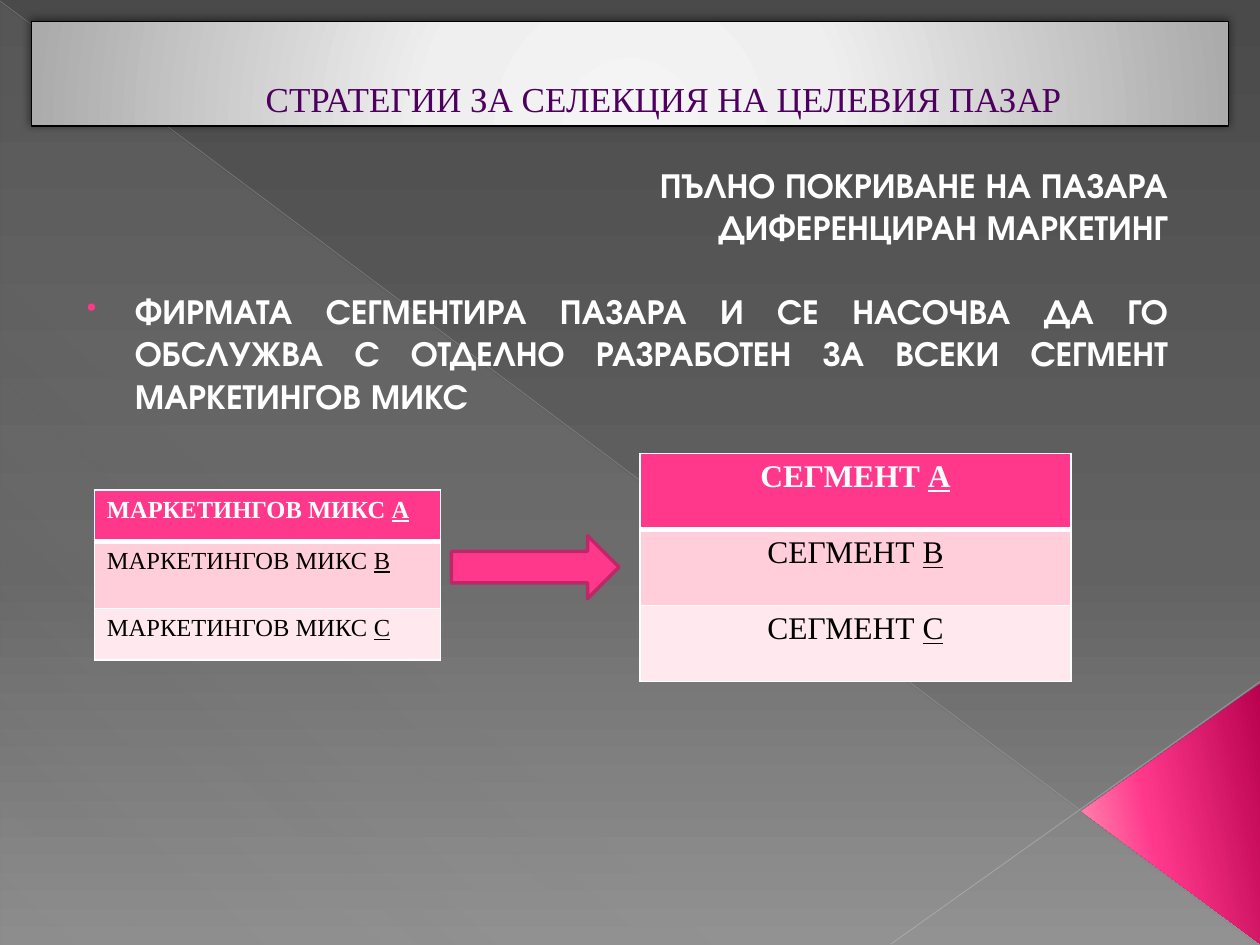
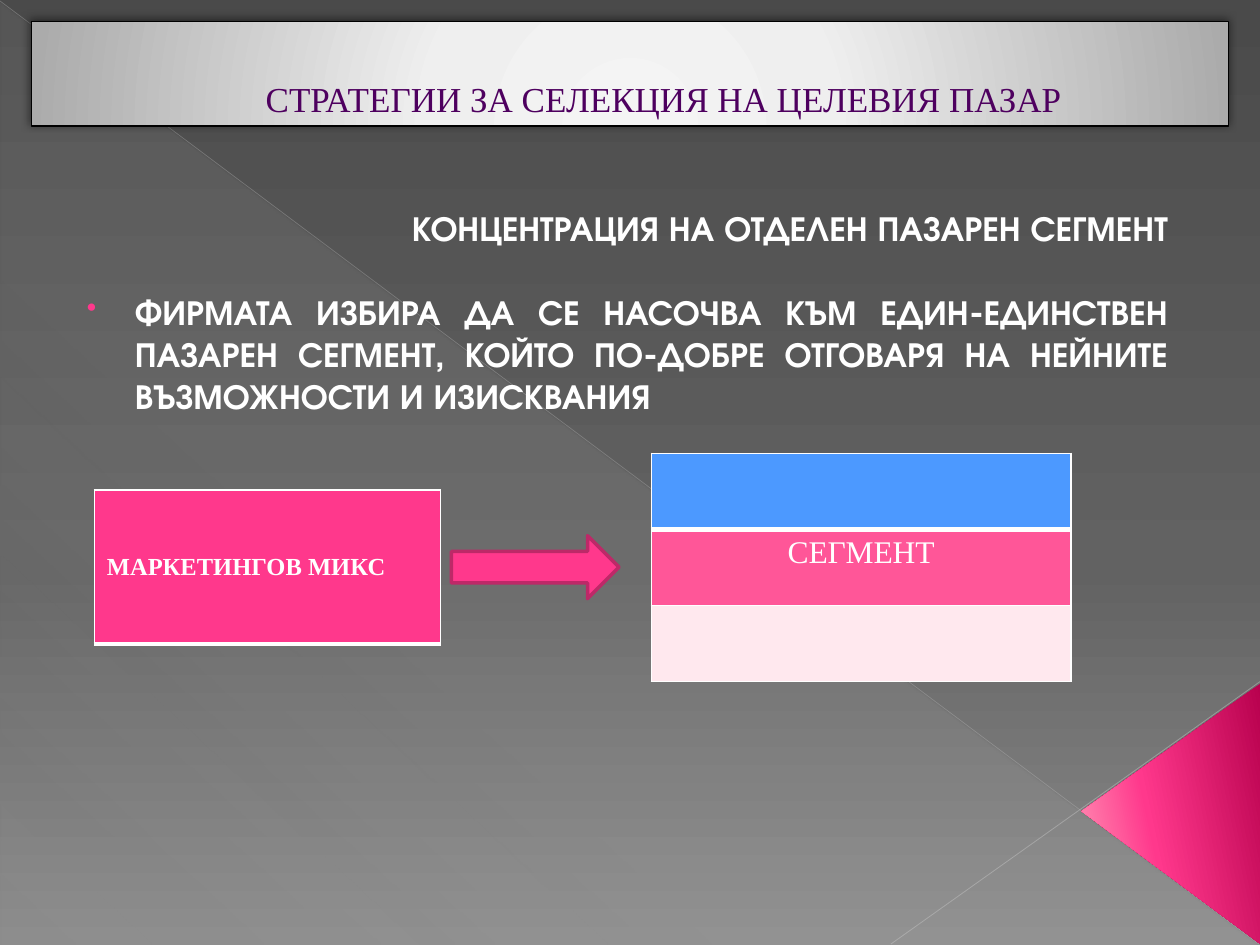
from pptx import Presentation
from pptx.dml.color import RGBColor
from pptx.enum.shapes import MSO_CONNECTOR, MSO_SHAPE
from pptx.enum.text import MSO_ANCHOR, MSO_AUTO_SIZE, PP_ALIGN
from pptx.oxml import parse_xml
from pptx.oxml.ns import nsdecls, qn
from pptx.util import Cm, Pt

HUES = {
    "white": "FFFFFF", "black": "000000", "plum": "4E005F",
    "pink": "FF388C", "rose": "FF5698", "blush": "FFCEDA", "pale": "FFE8EE",
    "blue": "4C99FF", "edge": "BD2968", "mist": "D2D2D2",
    "slant": "BFBFBF", "rise": "C6C6C6",
}
PAGE = [(0, "4A4A4A"), (60, "626262"), (100, "8C8C8C")]
VEIL = [(0, HUES["mist"], 10), (70, HUES["mist"], 8), (100, HUES["mist"], 1)]
WEDGE = [(0, "B8014E"), (60, HUES["pink"]), (100, "FF9CB9")]
BAND = [(0, "F4F4F4"), (34, "EFEFEF"), (100, "ABABAB")]
GLOW = ('<a:path path="circle"><a:fillToRect l="50000" t="155000" '
        'r="50000" b="-55000"/></a:path>')

SERIF, SANS = "Times New Roman", "TeX Gyre Adventor"
TITLE = "СТРАТЕГИИ ЗА СЕЛЕКЦИЯ НА ЦЕЛЕВИЯ ПАЗАР"
TITLE_FONT = {"name": SERIF, "size": Pt(20), "bold": False}
BODY_FONT = {"name": SANS, "size": Pt(20), "bold": True}
MIX_FONT = {"name": SERIF, "size": Pt(14)}
PART_FONT = {"name": SERIF, "size": Pt(18)}

# Boxes: left, top, width, height in cm
FULL = (0, 0, 25.4, 19.05)
HEAD = (0.64, 0.43, 24.13, 2.11)
FLOW = (1.9, 9.14, 19.69, 4.6)
LINE = 0.85  # height of one line of body text


def put(thing, values):
    for name, value in values.items():
        setattr(thing, name, value)


def rgb(hue):
    return RGBColor.from_string(HUES[hue])


def node(xml):
    """Parse one drawing element, declaring its namespace."""
    tag, rest = xml[:xml.index(" ")], xml[xml.index(" "):]
    return parse_xml(f"{tag} {nsdecls('a')}{rest}")


def write(para, text, form, hue, **more):
    run = para.add_run()
    run.text = text
    put(run.font, form | more)
    run.font.color.rgb = rgb(hue)


def blend(fill, root, stops, way):
    """Fill with colour stops (percent, colour, opacity) along an angle or path."""
    fill.gradient()
    grad = root.find(".//" + qn("a:gradFill"))
    for child in list(grad):
        grad.remove(child)
    marks = ""
    for spot, tint, *alpha in stops:
        clear = "".join(f'<a:alpha val="{a * 1000}"/>' for a in alpha)
        marks += (f'<a:gs pos="{spot * 1000}"><a:srgbClr val="{tint}">'
                  f'{clear}</a:srgbClr></a:gs>')
    if not isinstance(way, str):
        way = f'<a:lin ang="{way * 60000}" scaled="0"/>'
    whole = node(f'<a:gradFill rotWithShape="1"><a:gsLst>{marks}</a:gsLst>{way}</a:gradFill>')
    grad.extend(list(whole))
    grad.set("rotWithShape", "1")


def shape(slide, kind, box):
    item = slide.shapes.add_shape(kind, *map(Cm, box))
    item.shadow.inherit = False
    return item


def decor(slide, box):
    x, y, w, h = box
    # Pale veil and pink corner wedge
    veil = shape(slide, MSO_SHAPE.RIGHT_TRIANGLE, (x + 0.02, y + 0.05, w - 0.05, h - 0.05))
    blend(veil.fill, veil._element.spPr, VEIL, 133)
    veil.line.fill.background()
    # Thin crossing lines
    for start, end, hue, width, alpha in (
        ((0, 0.02), (w - 0.02, h - 0.02), "slant", 0.39, 35),
        ((w, 13.74), (17.96, h - 0.02), "rise", 0.47, 45),
    ):
        ends = (x + start[0], y + start[1], x + end[0], y + end[1])
        line = slide.shapes.add_connector(MSO_CONNECTOR.STRAIGHT, *map(Cm, ends))
        line.line.color.rgb = rgb(hue)
        line.line.width = Pt(width)
        props = line._element.spPr
        props.find(".//" + qn("a:srgbClr")).append(node(f'<a:alpha val="{alpha * 1000}"/>'))
        props.append(node("<a:effectLst />"))
    wedge = shape(slide, MSO_SHAPE.ISOSCELES_TRIANGLE, (x + w - 4.42, y + h - 4.45, 5.26, 3.61))
    wedge.adjustments[0] = 0.51
    wedge.rotation = 270
    blend(wedge.fill, wedge._element.spPr, WEDGE, 258)
    wedge.line.fill.background()


def head(slide, box):
    title = slide.shapes.title
    put(title, dict(zip(("left", "top", "width", "height"), map(Cm, box))))
    props = title._element.spPr
    blend(title.fill, props, BAND, GLOW)
    title.line.color.rgb = rgb("black")
    title.line.width = Pt(0.75)
    title.shadow.inherit = False
    props.find(qn("a:effectLst")).append(node(
        f'<a:outerShdw blurRad="{Pt(5)}" dist="{Pt(2)}" dir="14700000">'
        '<a:srgbClr val="000000"><a:alpha val="50000"/></a:srgbClr></a:outerShdw>'))
    frame = title.text_frame
    put(frame, {"word_wrap": True, "auto_size": MSO_AUTO_SIZE.NONE,
                "vertical_anchor": MSO_ANCHOR.BOTTOM})
    para = frame.paragraphs[0]
    para._p.get_or_add_pPr().set("marL", str(Cm(1.35)))
    para.alignment = PP_ALIGN.CENTER
    write(para, TITLE, TITLE_FONT, "plum")
    # Bring the band in front of the decor
    slide.shapes._spTree.append(title._element)


def body(slide, box, names, point):
    frame = slide.shapes.add_textbox(*map(Cm, box)).text_frame
    put(frame, {"word_wrap": True, "margin_right": Cm(0.36)})
    # Right-aligned strategy names
    for index, name in enumerate(names):
        para = frame.add_paragraph() if index else frame.paragraphs[0]
        para.alignment = PP_ALIGN.RIGHT
        write(para, name, BODY_FONT, "white")
    # Bulleted explanation
    para = frame.add_paragraph()
    props = para._p.get_or_add_pPr()
    props.set("marL", str(Cm(0.97)))
    props.set("indent", str(-Cm(0.97)))
    props.append(node(f'<a:buClr ><a:srgbClr val="{HUES["pink"]}"/></a:buClr>'.replace("<a:buClr >", "<a:buClr >", 1)))
    props.append(node('<a:buSzPct val="80000"/>'))
    props.append(node('<a:buChar char="•"/>'))
    put(para, {"alignment": PP_ALIGN.JUSTIFY, "space_before": Pt(24)})
    write(para, point, BODY_FONT, "white")


def rim(cell, top, bottom):
    props = cell._tc.get_or_add_tcPr()
    for side, width in (("L", 1), ("R", 1), ("T", top), ("B", bottom)):
        props.append(node(f'<a:ln{side} w="{Pt(width)}"><a:solidFill><a:srgbClr '
                          f'val="{HUES["white"]}"/></a:solidFill></a:ln{side}>'))


def grid(slide, spot, width, highs, rows, form, **look):
    """One-column table; a row is fill, text hue, bold, text, underlined letter."""
    box = (*spot, width, sum(highs))
    table = slide.shapes.add_table(len(rows), 1, *map(Cm, box)).table
    put(table, {"first_row": False, "horz_banding": False})
    for index, (hue, ink, bold, text, mark) in enumerate(rows):
        table.rows[index].height = Cm(highs[index])
        cell = table.cell(index, 0)
        # The header row has a heavy lower rule
        rim(cell, 3 if index == 1 else 1, 3 if index == 0 else 1)
        cell.fill.solid()
        cell.fill.fore_color.rgb = rgb(hue)
        cell.vertical_anchor = look.get("anchor", MSO_ANCHOR.TOP)
        para = cell.text_frame.paragraphs[0]
        para.alignment = look.get("align", PP_ALIGN.LEFT)
        if text:
            write(para, text + " " * bool(mark), form, ink, bold=bold)
        if mark:
            write(para, mark, form, ink, bold=bold, underline=True)


def flow(slide, box, mix, parts):
    """Marketing mix on the left, arrow, market segments on the right."""
    x, y, w, h = box
    grid(slide, (x, y + 0.74), 6.98, mix["highs"], mix["rows"], MIX_FONT,
         anchor=mix["anchor"])
    arrow = shape(slide, MSO_SHAPE.RIGHT_ARROW, (x + 7.2, y + 1.66, 3.38, 1.27))
    arrow.fill.solid()
    arrow.fill.fore_color.rgb = rgb("pink")
    arrow.line.color.rgb = rgb("edge")
    arrow.line.width = Pt(2)
    wide = parts["width"]
    grid(slide, (x + w - wide, y), wide, [h / 3] * 3, parts["rows"], PART_FONT,
         align=PP_ALIGN.CENTER)


def ranks(text):
    return [("pink", "white", True, text, "А"),
            ("blush", "black", False, text, "В"),
            ("pale", "black", False, text, "С")]


PAGES = [
    {
        "names": ["ПЪЛНО ПОКРИВАНЕ НА ПАЗАРА", "ДИФЕРЕНЦИРАН МАРКЕТИНГ"],
        "point": "ФИРМАТА СЕГМЕНТИРА ПАЗАРА И СЕ НАСОЧВА ДА ГО ОБСЛУЖВА С ОТДЕЛНО "
                 "РАЗРАБОТЕН ЗА ВСЕКИ СЕГМЕНТ МАРКЕТИНГОВ МИКС",
        "mix": {"highs": [1.03, 1.36, 1.03], "anchor": MSO_ANCHOR.TOP,
                "rows": ranks("МАРКЕТИНГОВ МИКС")},
        "parts": {"width": 8.69, "rows": ranks("СЕГМЕНТ")},
    },
    {
        "names": ["КОНЦЕНТРАЦИЯ НА ОТДЕЛЕН ПАЗАРЕН СЕГМЕНТ"],
        "point": "ФИРМАТА ИЗБИРА ДА СЕ НАСОЧВА КЪМ ЕДИН-ЕДИНСТВЕН ПАЗАРЕН СЕГМЕНТ, "
                 "КОЙТО ПО-ДОБРЕ ОТГОВАРЯ НА НЕЙНИТЕ ВЪЗМОЖНОСТИ И ИЗИСКВАНИЯ",
        "mix": {"highs": [3.1], "anchor": MSO_ANCHOR.MIDDLE,
                "rows": [("pink", "white", True, "МАРКЕТИНГОВ МИКС", "")]},
        "parts": {"width": 8.46,
                  "rows": [("blue", "white", False, "", ""),
                           ("rose", "white", False, "СЕГМЕНТ", ""),
                           ("pale", "black", False, "", "")]},
    },
]


def main():
    deck = Presentation()
    put(deck, {"slide_width": Cm(FULL[2]), "slide_height": Cm(FULL[3])})
    master = deck.slide_master
    blend(master.background.fill, master._element, PAGE, 90)
    for page in PAGES:
        slide = deck.slides.add_slide(deck.slide_layouts[5])
        decor(slide, FULL)
        head(slide, HEAD)
        # Names end on the same line of both slides
        drop = LINE * (2 - len(page["names"]))
        body(slide, (1.5, 3.18 + drop, 22.4, 5.5), page["names"], page["point"])
        flow(slide, FLOW, page["mix"], page["parts"])
    deck.save("out.pptx")


if __name__ == "__main__":
    main()
